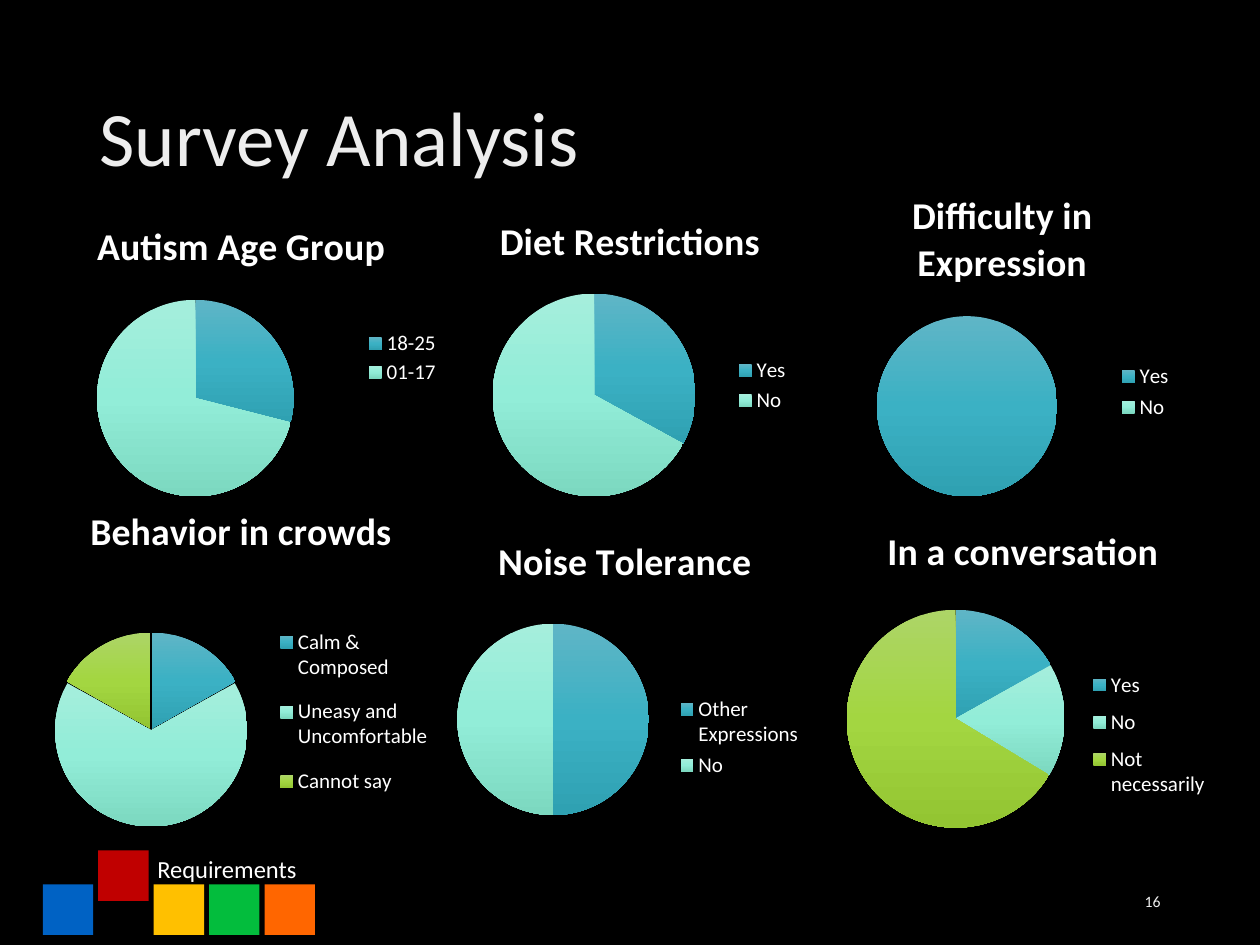
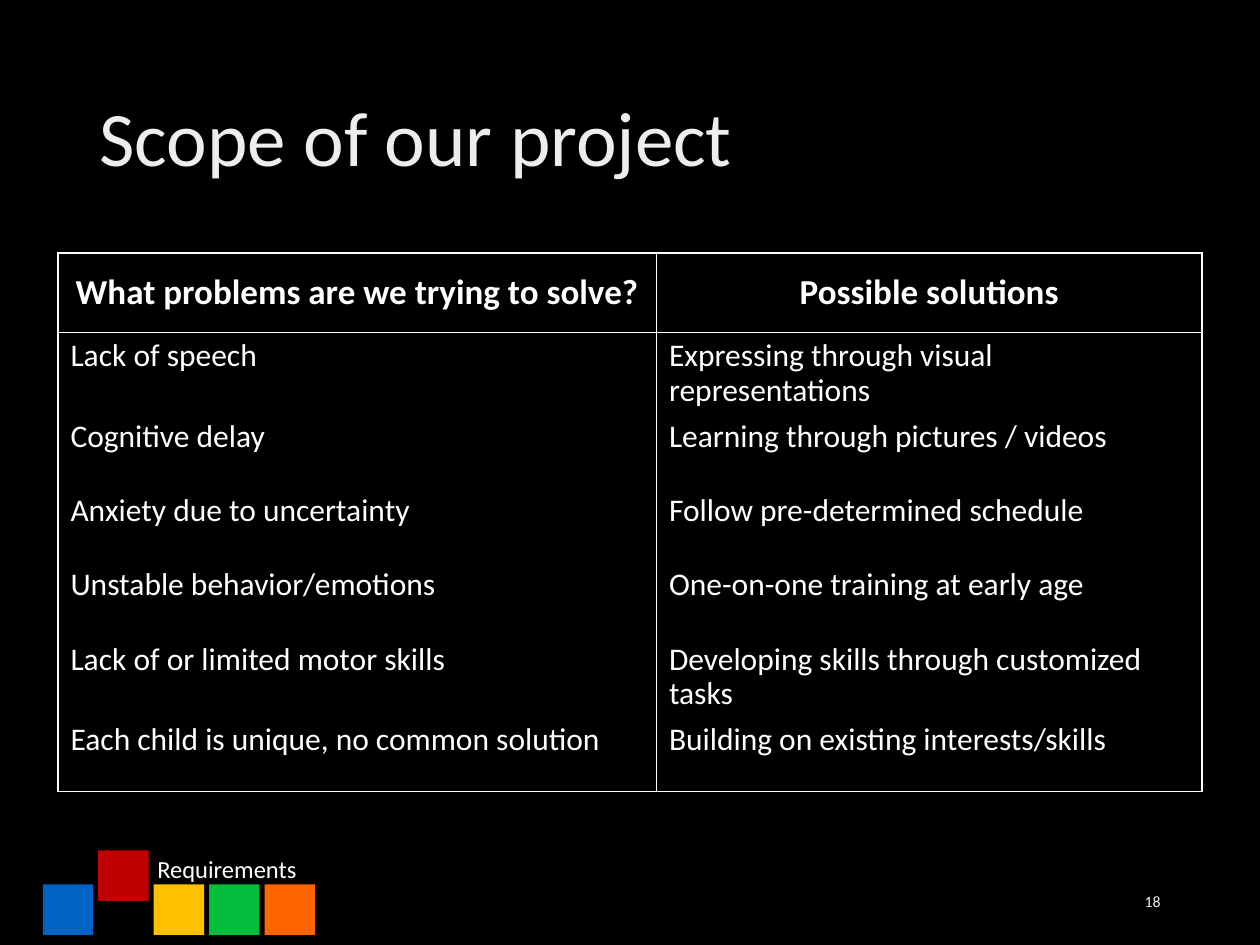
from copy import deepcopy
from typing import NamedTuple

from lxml import etree
from pptx import Presentation
from pptx.chart.data import CategoryChartData
from pptx.dml.color import RGBColor
from pptx.enum.chart import XL_CHART_TYPE, XL_LEGEND_POSITION
from pptx.enum.shapes import MSO_SHAPE
from pptx.enum.text import MSO_ANCHOR, MSO_AUTO_SIZE, PP_ALIGN
from pptx.oxml import parse_xml
from pptx.oxml.ns import nsdecls, qn
from pptx.util import Inches, Pt

PIE = XL_CHART_TYPE.PIE
RIGHT_SIDE = XL_LEGEND_POSITION.RIGHT
RECT = MSO_SHAPE.RECTANGLE
TOP, MIDDLE = MSO_ANCHOR.TOP, MSO_ANCHOR.MIDDLE
NO_FIT = MSO_AUTO_SIZE.NONE
LEFT, CENTER, RIGHT = PP_ALIGN.LEFT, PP_ALIGN.CENTER, PP_ALIGN.RIGHT

FONT = "Calibri"
BLACK = RGBColor(0x00, 0x00, 0x00)
WHITE = RGBColor(0xFF, 0xFF, 0xFF)
SILVER = RGBColor(0xED, 0xED, 0xED)
BLUE = RGBColor(0x00, 0x62, 0xC4)
RED = RGBColor(0xC0, 0x00, 0x00)
GOLD = RGBColor(0xFF, 0xC0, 0x00)
GREEN = RGBColor(0x03, 0xBD, 0x3D)
ORANGE = RGBColor(0xFF, 0x66, 0x00)
TEAL = (RGBColor(0x5F, 0xB5, 0xC6), RGBColor(0x3B, 0xB1, 0xC4), RGBColor(0x2F, 0xA1, 0xB2))
MINT = (RGBColor(0xA5, 0xEE, 0xDC), RGBColor(0x92, 0xED, 0xD8), RGBColor(0x7C, 0xD8, 0xC0))
LIME = (RGBColor(0xAD, 0xD5, 0x67), RGBColor(0xA3, 0xD6, 0x41), RGBColor(0x93, 0xC5, 0x32))
SLICES = (TEAL, MINT, LIME)


class Box(NamedTuple):
    """Left, top, width and height in inches."""
    x: float
    y: float
    w: float
    h: float

    def emu(self) -> tuple:
        return tuple(Inches(side) for side in self)


class Square(NamedTuple):
    color: RGBColor
    top: float


class Survey(NamedTuple):
    title: str
    series: str
    answers: dict
    frame: Box
    pie: Box
    legend: Box
    burst: int = 0


SQUARES = (Square(BLUE, 7.02), Square(RED, 6.75), Square(GOLD, 7.02),
           Square(GREEN, 7.02), Square(ORANGE, 7.02))

SURVEYS = (
    Survey("Autism Age Group", "Autism Age Group", {"18-25": 29, "01-17": 71},
           Box(0.25, 1.58, 3.33, 2.5), Box(0.77, 2.38, 1.56, 1.56),
           Box(2.87, 2.6, 0.65, 0.48)),
    Survey("Diet Restrictions", "Diet Restrictions", {"Yes": 33, "No": 67},
           Box(3.5, 1.54, 3, 2.54), Box(3.91, 2.33, 1.61, 1.61),
           Box(5.8, 2.8, 0.5, 0.52)),
    Survey("Difficulty in Expression", "Difficulty in Expression", {"Yes": 100, "No": 0},
           Box(6.33, 1.33, 3.25, 2.75), Box(6.96, 2.51, 1.43, 1.43),
           Box(8.84, 2.85, 0.5, 0.52)),
    Survey("Behavior in crowds", "Behavior in crowds",
           {"Calm & Composed": 17, "Uneasy and Uncomfortable": 67, "Cannot say": 17},
           Box(0.25, 3.83, 3.33, 3.17), Box(0.42, 5.02, 1.56, 1.54),
           Box(2.16, 4.84, 1.3, 1.62), 1),
    Survey("Noise Tolerance", "Series 1", {"Other Expressions": 50, "No": 50},
           Box(3.5, 4.08, 2.92, 2.67), Box(3.63, 4.95, 1.52, 1.52),
           Box(5.37, 5.48, 1, 0.74)),
    Survey("In a conversation", "Series 1", {"Yes": 17, "No": 17, "Not necessarily": 67},
           Box(6.58, 4, 3.08, 2.83), Box(6.72, 4.84, 1.73, 1.73),
           Box(8.63, 5.24, 0.98, 1.18)),
)

SCOPE = (
    ("What problems are we trying to solve?", "Possible solutions"),
    ("Lack of speech", "Expressing through visual representations"),
    ("Cognitive delay", "Learning through pictures / videos"),
    ("Anxiety due to uncertainty", "Follow pre-determined schedule"),
    ("Unstable behavior/emotions", "One-on-one training at early age"),
    ("Lack of or limited motor skills", "Developing skills through customized tasks"),
    ("Each child is unique, no common solution", "Building on existing interests/skills"),
)


def write(frame, text: str, size: float, color: RGBColor = WHITE, align=LEFT,
          bold: bool = False, spacing: float = 1.0) -> None:
    par = frame.paragraphs[0]
    par.alignment = align
    par.line_spacing = spacing
    run = par.add_run()
    run.text = text
    font = run.font
    font.name, font.size, font.bold = FONT, Pt(size), bold
    font.color.rgb = color


def add_label(slide, text: str, box: Box, size: float, color: RGBColor,
              align=LEFT, anchor=TOP) -> None:
    frame = slide.shapes.add_textbox(*box.emu()).text_frame
    frame.word_wrap = True
    frame.vertical_anchor = anchor
    write(frame, text, size, color, align)


def add_page(deck, title: str, number: int):
    """Add a slide with the shared squares, section name, title and number."""
    slide = deck.slides.add_slide(deck.slide_layouts[5])
    for i, square in enumerate(SQUARES):
        box = Box(0.34 + 0.44 * i, square.top, 0.4, 0.4)
        shape = slide.shapes.add_shape(RECT, *box.emu())
        shape.shadow.inherit = False
        shape.fill.solid()
        shape.fill.fore_color.rgb = square.color
        shape.line.fill.background()
    add_label(slide, "Requirements", Box(1.15, 6.73, 1.9, 0.34), 14, WHITE)

    head = slide.shapes.title
    head.left, head.top, head.width, head.height = Box(0.69, 0.4, 8.62, 1.45).emu()
    frame = head.text_frame
    frame.auto_size = NO_FIT
    frame.vertical_anchor = MIDDLE
    write(frame, title, 44, SILVER, spacing=0.9)
    add_label(slide, str(number), Box(7.06, 6.95, 2.25, 0.4), 9, SILVER, RIGHT, MIDDLE)
    return slide


def set_layout(parent, index: int, box: Box, frame: Box, inner: bool = False) -> None:
    """Fix a chart part at a box given in slide inches."""
    for old in parent.findall(qn("c:layout")):
        parent.remove(old)
    layout = etree.Element(qn("c:layout"))
    manual = etree.SubElement(layout, qn("c:manualLayout"))
    values = {"xMode": "edge", "yMode": "edge",
              "x": (box.x - frame.x) / frame.w, "y": (box.y - frame.y) / frame.h,
              "w": box.w / frame.w, "h": box.h / frame.h}
    if inner:
        values = {"layoutTarget": "inner", **values}
    for tag, value in values.items():
        etree.SubElement(manual, qn(f"c:{tag}")).set("val", str(value))
    parent.insert(index, layout)


def shade(fill, tones: tuple) -> None:
    """Fill from top to bottom with three tones."""
    fill.gradient()
    fill.gradient_angle = 270
    first = fill.gradient_stops[0]._gs
    first.addnext(deepcopy(first))
    for i, (stop, tone) in enumerate(zip(fill.gradient_stops, tones)):
        stop.position = i / 2
        stop.color.rgb = tone


def add_survey(slide, survey: Survey) -> None:
    data = CategoryChartData()
    data.categories = list(survey.answers)
    data.add_series(survey.series, list(survey.answers.values()))
    chart = slide.shapes.add_chart(PIE, *survey.frame.emu(), data).chart
    chart.font.name, chart.font.size = FONT, Pt(18)
    chart.font.color.rgb = WHITE
    chart.has_title = True
    write(chart.chart_title.text_frame, survey.title, 21.6, align=CENTER, bold=True)
    chart.chart_title.include_in_layout = False

    chart.has_legend = True
    legend = chart.legend
    legend.position = RIGHT_SIDE
    legend.include_in_layout = False
    legend.font.name, legend.font.size = FONT, Pt(12)
    legend.font.color.rgb = WHITE
    set_layout(legend._element, 1, survey.legend, survey.frame)
    area = chart._chartSpace.find(f".//{qn('c:plotArea')}")
    set_layout(area, 0, survey.pie, survey.frame, inner=True)

    plot = chart.plots[0]
    plot.vary_by_categories = True
    series = plot.series[0]
    for i, tones in enumerate(SLICES[:len(survey.answers)]):
        look = series.points[i].format
        shade(look.fill, tones)
        look.line.fill.background()
    if survey.burst:
        burst = parse_xml(f'<c:explosion {nsdecls("c")} val="{survey.burst}"/>')
        series._element.find(qn("c:dPt")).addprevious(burst)


def set_edges(cell, shown: str) -> None:
    """Draw white borders on the named sides and clear the others."""
    props = cell._tc.get_or_add_tcPr()
    for i, side in enumerate("LRTB"):
        paint = (f'<a:solidFill><a:srgbClr val="{WHITE}"/></a:solidFill>'
                 if side in shown else "<a:noFill/>")
        props.insert(i, parse_xml(
            f'<a:ln{side} {nsdecls("a")} w="{Pt(1)}">{paint}</a:ln{side}>'))


def add_scope(slide) -> None:
    box = Box(0.46, 2.01, 9.08, 4.17)
    table = slide.shapes.add_table(len(SCOPE), 2, *box.emu()).table
    table.first_row = table.horz_banding = False
    for column, width in zip(table.columns, (4.75, 4.33)):
        column.width = Inches(width)
    for r, texts in enumerate(SCOPE):
        header, last = r == 0, r == len(SCOPE) - 1
        table.rows[r].height = Inches(0.63 if header else 0.59)
        edges = "LR" + ("T" if r < 2 else "") + ("B" if header or last else "")
        for c, text in enumerate(texts):
            cell = table.cell(r, c)
            cell.fill.background()
            set_edges(cell, edges)
            cell.vertical_anchor = MIDDLE if header else TOP
            write(cell.text_frame, text, 20 if header else 18,
                  align=CENTER if header else LEFT, bold=header, spacing=0.9)


def main() -> None:
    deck = Presentation()
    deck.slide_width, deck.slide_height = Inches(10), Inches(7.5)
    back = deck.slide_master.background.fill
    back.solid()
    back.fore_color.rgb = BLACK

    page = add_page(deck, "Survey Analysis", 16)
    for survey in SURVEYS:
        add_survey(page, survey)
    add_scope(add_page(deck, "Scope of our project", 18))
    deck.save("out.pptx")


if __name__ == "__main__":
    main()
